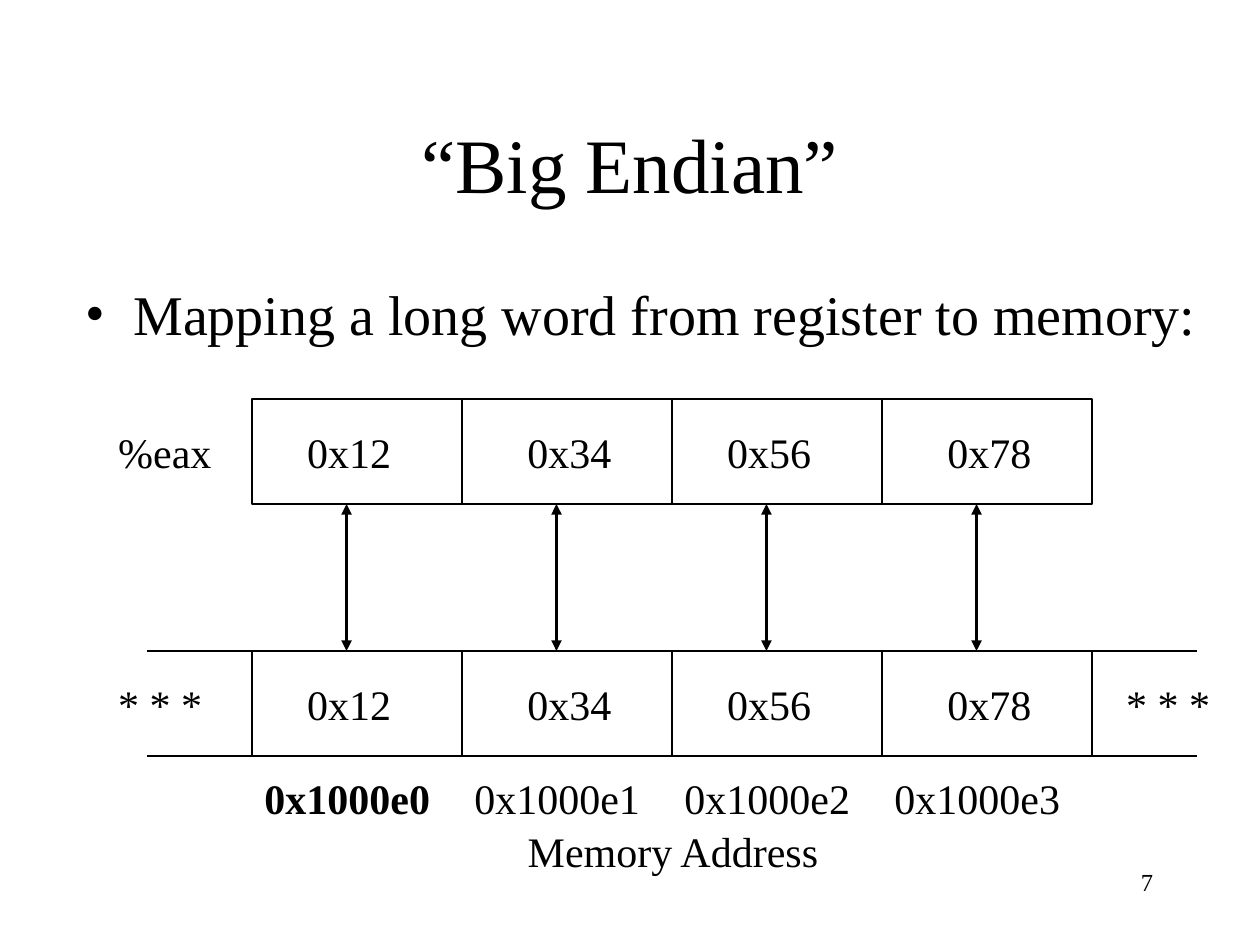
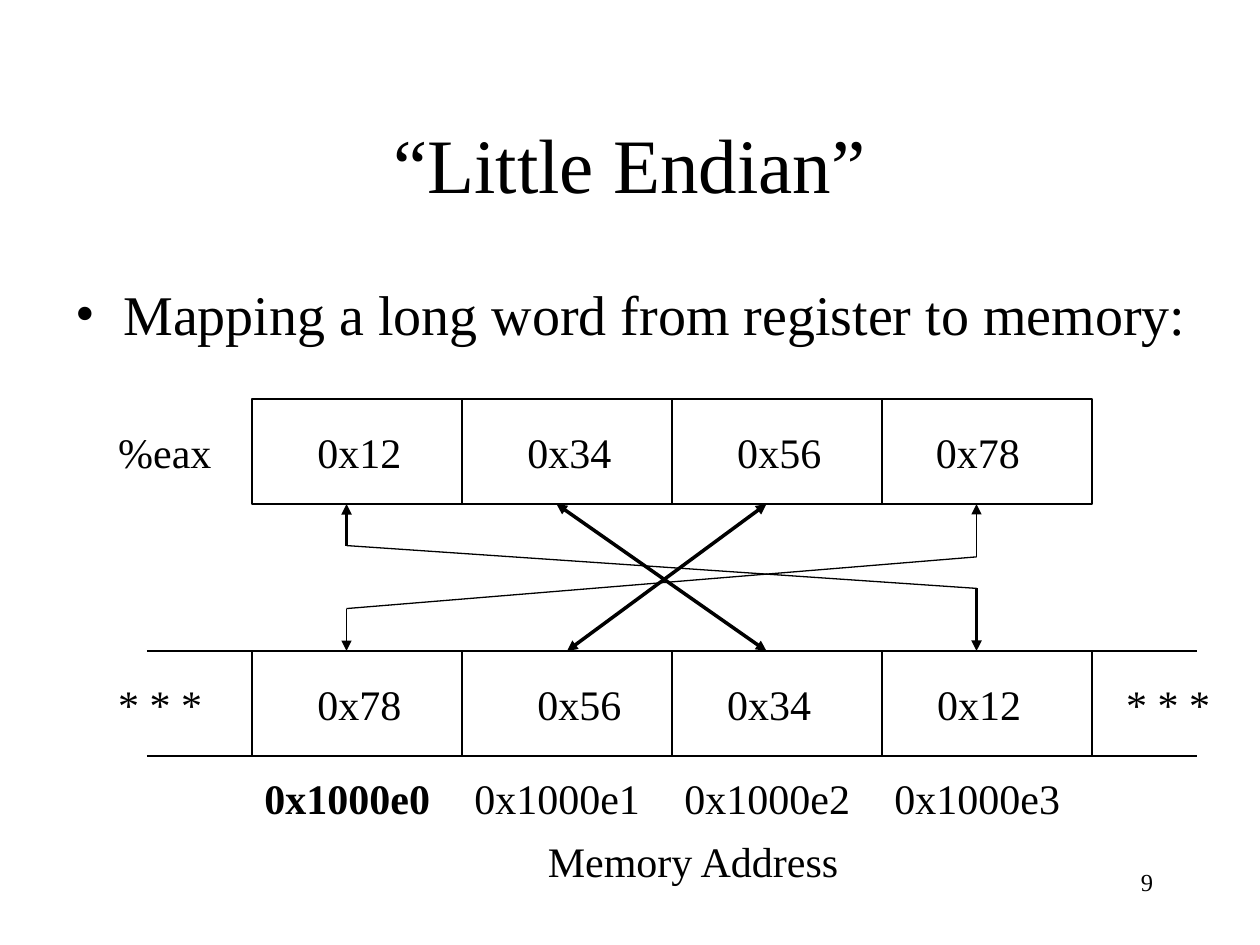
"""Builds two slides that compare big-endian and little-endian byte order."""
from dataclasses import dataclass

from lxml.etree import SubElement
from pptx import Presentation
from pptx.dml.color import RGBColor
from pptx.enum.shapes import MSO_CONNECTOR as Connector, MSO_SHAPE as Preset
from pptx.enum.text import MSO_ANCHOR as Anchor, PP_ALIGN as Align
from pptx.oxml.ns import qn
from pptx.slide import Slide
from pptx.text.text import TextFrame
from pptx.util import Inches, Length, Pt


@dataclass(frozen=True)
class Theme:
    font: str = "Times New Roman"
    ink: RGBColor = RGBColor(0, 0, 0)
    title: Length = Pt(44)
    body: Length = Pt(32)
    label: Length = Pt(24)
    footer: Length = Pt(14)
    thin: Length = Pt(0.75)
    thick: Length = Pt(2)


@dataclass(frozen=True)
class Byte:
    value: str
    indent: float


@dataclass(frozen=True)
class Label:
    text: str
    left: Length
    top: Length
    width: Length
    bold: bool = False


@dataclass(frozen=True)
class Stroke:
    start: tuple[Length, Length]
    end: tuple[Length, Length]
    weight: Length
    head: bool = False
    tail: bool = False


@dataclass(frozen=True)
class ByteOrder:
    title: str
    number: str
    statement_left: Length
    caption_left: Length
    caption_top: Length
    register: list[Byte]
    memory: list[Byte]
    mapping: list[Stroke]


THEME = Theme()
STATEMENT = "Mapping a long word from register to memory:"
ROW_LEFT = Inches(2)
CELL_WIDTH = Inches(5) // 3
CELL_HEIGHT = Inches(5) // 6
REGISTER_BOTTOM = Inches(4)
REGISTER_TOP = REGISTER_BOTTOM - CELL_HEIGHT
MEMORY_BOTTOM = Inches(6)
MEMORY_TOP = MEMORY_BOTTOM - CELL_HEIGHT
ADDRESS_TOP = Inches(6.08)
ROW_TEXT_DROP = CELL_HEIGHT // 5
LABEL_HEIGHT = Inches(0.5)
BYTE_WIDTH = Inches(0.9)
EDGE_LENGTH = CELL_WIDTH // 2


def cell_left(column: int) -> Length:
    return Length(ROW_LEFT + column * CELL_WIDTH)


def port(column: int) -> Length:
    return Length(cell_left(column) + Inches(0.75))


def write_text(frame: TextFrame, text: str, *, size: Length, bold: bool = False,
               align: Align = Align.LEFT, anchor: Anchor = Anchor.TOP,
               bullet: bool = False) -> None:
    frame.word_wrap = True
    frame.vertical_anchor = anchor
    paragraph = frame.paragraphs[0]
    paragraph.alignment = align
    run = paragraph.add_run()
    run.text = text
    run.font.name = THEME.font
    run.font.size = size
    run.font.bold = bold
    run.font.color.rgb = THEME.ink
    if bullet:
        paragraph.space_before = Pt(8)
        properties = paragraph._p.get_or_add_pPr()
        properties.set("marL", str(Inches(0.38)))
        properties.set("indent", str(-Inches(0.38)))
        SubElement(properties, qn("a:buFont"), typeface=THEME.font)
        SubElement(properties, qn("a:buChar"), char="•")


def draw_label(slide: Slide, label: Label) -> None:
    box = slide.shapes.add_textbox(label.left, label.top, label.width, LABEL_HEIGHT)
    write_text(box.text_frame, label.text, size=THEME.label, bold=label.bold)


def draw_stroke(slide: Slide, stroke: Stroke) -> None:
    connector = slide.shapes.add_connector(Connector.STRAIGHT, *stroke.start, *stroke.end)
    connector.line.color.rgb = THEME.ink
    connector.line.width = stroke.weight
    properties = connector.element.spPr
    outline = properties.find(qn("a:ln"))
    for tag, shown in (("a:headEnd", stroke.head), ("a:tailEnd", stroke.tail)):
        if shown:
            SubElement(outline, qn(tag), type="triangle")
    SubElement(properties, qn("a:effectLst"))


def draw_row(slide: Slide, top: Length, row: list[Byte]) -> None:
    for column, byte in enumerate(row):
        left = cell_left(column)
        cell = slide.shapes.add_shape(Preset.RECTANGLE, left, top, CELL_WIDTH, CELL_HEIGHT)
        cell.shadow.inherit = False
        cell.fill.background()
        cell.line.color.rgb = THEME.ink
        cell.line.width = THEME.thin
        draw_label(slide, Label(byte.value, Length(left + Inches(byte.indent)),
                                Length(top + ROW_TEXT_DROP), BYTE_WIDTH))


def draw_memory_edges(slide: Slide) -> None:
    for edge_left in (ROW_LEFT - EDGE_LENGTH, cell_left(4)):
        for y in (MEMORY_TOP, MEMORY_BOTTOM):
            draw_stroke(slide, Stroke((edge_left, y), (edge_left + EDGE_LENGTH, y), THEME.thin))


def draw_side_labels(slide: Slide) -> None:
    register_text = Length(REGISTER_TOP + ROW_TEXT_DROP)
    memory_text = Length(MEMORY_TOP + ROW_TEXT_DROP)
    draw_label(slide, Label("%eax", Inches(0.84), register_text, Inches(1)))
    for left in (Inches(0.84), Inches(8.84)):
        draw_label(slide, Label("* * *", left, memory_text, BYTE_WIDTH))


def draw_addresses(slide: Slide) -> None:
    for column in range(4):
        draw_label(slide, Label(f"0x1000e{column}", cell_left(column), ADDRESS_TOP,
                                Inches(1.6), bold=column == 0))


def build_slide(deck: Presentation, order: ByteOrder) -> None:
    slide = deck.slides.add_slide(deck.slide_layouts[5])
    title = slide.shapes.title
    title.left, title.top = Inches(0.75), Inches(0.67)
    title.width, title.height = Inches(8.5), Inches(1.25)
    write_text(title.text_frame, order.title, size=THEME.title,
               align=Align.CENTER, anchor=Anchor.MIDDLE)
    statement = slide.shapes.add_textbox(order.statement_left, Inches(2.17),
                                         Inches(9.17), Inches(4.5))
    write_text(statement.text_frame, STATEMENT, size=THEME.body, bullet=True)
    number = slide.shapes.add_textbox(Inches(7.17), Inches(6.83), Inches(2.08), Inches(0.5))
    write_text(number.text_frame, order.number, size=THEME.footer, align=Align.RIGHT)
    draw_row(slide, REGISTER_TOP, order.register)
    draw_row(slide, MEMORY_TOP, order.memory)
    draw_memory_edges(slide)
    draw_side_labels(slide)
    for stroke in order.mapping:
        draw_stroke(slide, stroke)
    draw_addresses(slide)
    draw_label(slide, Label("Memory Address", order.caption_left, order.caption_top,
                            Inches(2.6)))


BIG_BYTES = [Byte("0x12", 0.34), Byte("0x34", 0.42), Byte("0x56", 0.34), Byte("0x78", 0.42)]

BIG_ENDIAN = ByteOrder(
    title="“Big Endian”",
    number="7",
    statement_left=Inches(0.58),
    caption_left=Inches(4.09),
    caption_top=Inches(6.5),
    register=BIG_BYTES,
    memory=BIG_BYTES,
    mapping=[Stroke((port(column), REGISTER_BOTTOM), (port(column), MEMORY_TOP),
                    THEME.thick, head=True, tail=True) for column in range(4)],
)

FIRST_BEND, LAST_BEND = (port(0), Inches(4.33)), (port(3), Inches(4.67))
RISING_BEND, FALLING_BEND = (port(3), Inches(4.42)), (port(0), Inches(4.83))

LITTLE_ENDIAN = ByteOrder(
    title="“Little Endian”",
    number="9",
    statement_left=Inches(0.5),
    caption_left=Inches(4.25),
    caption_top=Inches(6.58),
    register=[Byte("0x12", 0.42), Byte("0x34", 0.42), Byte("0x56", 0.42), Byte("0x78", 0.33)],
    memory=[Byte("0x78", 0.42), Byte("0x56", 0.5), Byte("0x34", 0.34), Byte("0x12", 0.34)],
    mapping=[
        Stroke((port(0), REGISTER_BOTTOM), FIRST_BEND, THEME.thick, head=True),
        Stroke((port(1), REGISTER_BOTTOM), (port(2), MEMORY_TOP), THEME.thick, True, True),
        Stroke((port(2), REGISTER_BOTTOM), (Inches(4.5), MEMORY_TOP), THEME.thick, True, True),
        Stroke(LAST_BEND, (port(3), MEMORY_TOP), THEME.thick, tail=True),
        Stroke(FIRST_BEND, LAST_BEND, THEME.thin),
        Stroke(RISING_BEND, (port(3), REGISTER_BOTTOM), THEME.thin, tail=True),
        Stroke(RISING_BEND, FALLING_BEND, THEME.thin),
        Stroke(FALLING_BEND, (port(0), MEMORY_TOP), THEME.thin, tail=True),
    ],
)


def main() -> None:
    deck = Presentation()
    deck.slide_width, deck.slide_height = Inches(10), Inches(7.5)
    for order in (BIG_ENDIAN, LITTLE_ENDIAN):
        build_slide(deck, order)
    deck.save("out.pptx")


if __name__ == "__main__":
    main()
